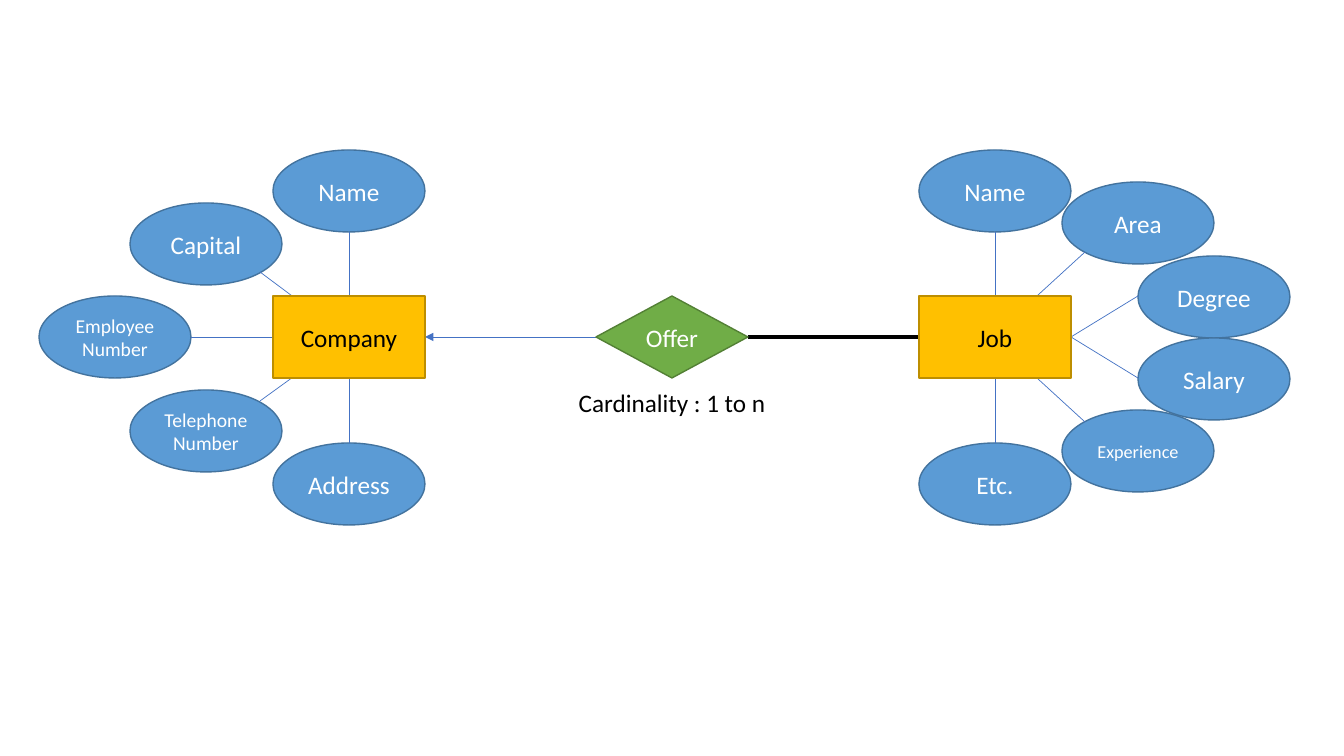
from pptx import Presentation
from pptx.dml.color import RGBColor
from pptx.enum.shapes import MSO_CONNECTOR, MSO_SHAPE
from pptx.enum.text import MSO_ANCHOR, PP_ALIGN
from pptx.oxml.ns import qn
from pptx.util import Pt
from lxml.etree import SubElement

WIDE, HIGH = 152, 82
BLUE, WHITE, BLACK = "4472C4", "FFFFFF", "000000"

COMPANY = [
    ("Name", 18, (0, -146), (76, -64), (76, 0)),
    ("Capital", 18, (-143, -93), (-13, -24), (74, 41)),
    ("Telephone\nNumber", 14, (-143, 94), (-13, 105), (74, 42)),
    ("Address", 18, (0, 147), (76, 147), (76, 82)),
    ("Employee\nNumber", 14, (-234, 0), (-82, 41), (0, 41)),
]
JOB = [
    ("Name", 18, (0, -146), (76, -64), (76, 0)),
    ("Area", 18, (143, -114), (166, -44), (118, 0)),
    ("Degree", 18, (219, -40), (219, 0), (152, 41)),
    ("Experience", 13, (143, 114), (166, 126), (118, 82)),
    ("Etc.", 18, (0, 147), (76, 147), (76, 82)),
    ("Salary", 18, (219, 42), (219, 82), (152, 41)),
]


def px(*vals):
    """Turn pixels into EMU."""
    return [round(val * 914400 / 100.8) for val in vals]


def color(code):
    """Turn a hex string into a colour."""
    return RGBColor.from_string(code)


def write(shape, text, size=18, ink=WHITE, anchor=MSO_ANCHOR.MIDDLE):
    """Put centred text into a shape, one paragraph for each line."""
    frame = shape.text_frame
    frame.text = text
    frame.word_wrap = True
    frame.vertical_anchor = anchor
    frame.margin_left = frame.margin_right = 0
    for para in frame.paragraphs:
        para.alignment = PP_ALIGN.CENTER
        para.font.name = "Calibri"
        para.font.size = Pt(size)
        para.font.color.rgb = color(ink)


def node(slide, kind, spot, fill, edge, text, **style):
    """Draw one outlined node with its label."""
    shape = slide.shapes.add_shape(kind, *px(*spot, WIDE, HIGH))
    shape.shadow.inherit = False
    shape.fill.solid()
    shape.fill.fore_color.rgb = color(fill)
    shape.line.color.rgb = color(edge)
    shape.line.width = Pt(1)
    write(shape, text, **style)


def link(slide, start, end, ink=BLUE, width=0.5, arrow=False):
    """Draw a straight line, with an arrowhead at its end on request."""
    line = slide.shapes.add_connector(
        MSO_CONNECTOR.STRAIGHT, *px(*start, *end))
    line.line.color.rgb = color(ink)
    line.line.width = Pt(width)
    if arrow:
        SubElement(line.line._get_or_add_ln(), qn("a:tailEnd"), type="triangle")
    SubElement(line._element.spPr, qn("a:effectLst"))


def entity(slide, left, top, name, traits):
    """Draw an entity box with its ring of attributes."""
    def shift(spot):
        """Move a spot from the entity's corner onto the slide."""
        return left + spot[0], top + spot[1]

    for text, size, spot, start, end in traits:
        node(slide, MSO_SHAPE.OVAL, shift(spot), "5B9BD5", "43739E", text,
             size=size)
        link(slide, shift(start), shift(end))
    node(slide, MSO_SHAPE.RECTANGLE, (left, top), "FFC000", "BD8E00", name,
         ink=BLACK)


def relation(slide, left, top, gap):
    """Draw the relation diamond, its two links and its caption."""
    mid = top + HIGH / 2
    right = left + WIDE
    link(slide, (left, mid), (left - gap, mid), arrow=True)
    link(slide, (right, mid), (right + gap, mid), ink=BLACK, width=3)
    node(slide, MSO_SHAPE.DIAMOND, (left, top), "70AD47", "538035", "Offer")
    box = slide.shapes.add_textbox(*px(left - 153, top + 86, 458, 40))
    write(box, "Cardinality : 1 to n", ink=BLACK, anchor=MSO_ANCHOR.TOP)


deck = Presentation()
deck.slide_width, deck.slide_height = px(1344, 756)
slide = deck.slides.add_slide(deck.slide_layouts[6])
relation(slide, 596, 296, 171)
entity(slide, 919, 296, "Job", JOB)
entity(slide, 273, 296, "Company", COMPANY)
deck.save("out.pptx")
